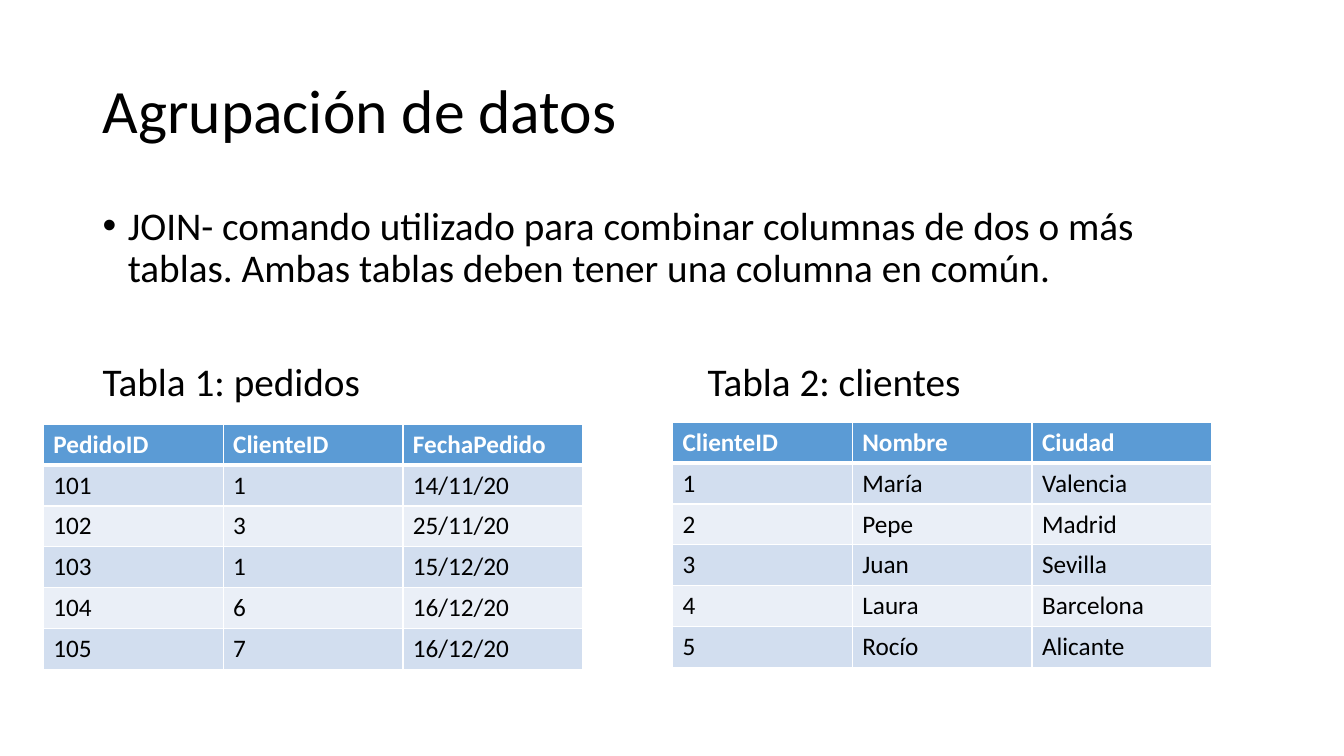
from dataclasses import dataclass
from typing import Any

from lxml import etree
from pptx import Presentation, util as u
from pptx.dml.color import RGBColor
from pptx.enum import text
from pptx.oxml import ns

COLORS = {
    "text": "000000",
    "white": "FFFFFF",
    "header": "5B9BD5",
    "odd_row": "D2DEEF",
    "even_row": "EAEFF7",
}
FONT = "Calibri"
TABLE_WIDTH, ROW_HEIGHT = 5.35, 0.405
THIN, THICK = 1, 3


@dataclass
class DataTable:
    left: float
    top: float
    rows: list[tuple[str, ...]]


TABLES = [
    DataTable(6.67, 4.19, [
        ("ClienteID", "Nombre", "Ciudad"),
        ("1", "María", "Valencia"),
        ("2", "Pepe", "Madrid"),
        ("3", "Juan", "Sevilla"),
        ("4", "Laura", "Barcelona"),
        ("5", "Rocío", "Alicante"),
    ]),
    DataTable(0.43, 4.21, [
        ("PedidoID", "ClienteID", "FechaPedido"),
        ("101", "1", "14/11/20"),
        ("102", "3", "25/11/20"),
        ("103", "1", "15/12/20"),
        ("104", "6", "16/12/20"),
        ("105", "7", "16/12/20"),
    ]),
]


def rgb(name: str) -> RGBColor:
    return RGBColor.from_string(COLORS[name])


def write(p: Any, words: str, size: float, color: str = "text", bold: bool = False) -> None:
    r = p.add_run()
    r.text = words
    for key, value in {"name": FONT, "size": u.Pt(size), "bold": bold}.items():
        setattr(r.font, key, value)
    r.font.color.rgb = rgb(color)


def add_text_frame(slide: Any, top: float, height: float, anchor: Any) -> Any:
    sp = slide.shapes.add_textbox(u.Inches(0.92), u.Inches(top), u.Inches(11.5), u.Inches(height))
    tf = sp.text_frame
    for key, value in {"word_wrap": True, "vertical_anchor": anchor}.items():
        setattr(tf, key, value)
    return tf


def space(p: Any, before: float) -> None:
    for key, value in {"line_spacing": 0.9, "space_before": u.Pt(before)}.items():
        setattr(p, key, value)


def add_bullet(p: Any) -> None:
    pPr = p._p.get_or_add_pPr()
    pPr.set("marL", str(u.Inches(0.25)))
    pPr.set("indent", str(-u.Inches(0.25)))
    etree.SubElement(pPr, ns.qn("a:buFont"), typeface="Arial")
    etree.SubElement(pPr, ns.qn("a:buChar"), char="•")


def add_tab_stop(p: Any, position: float) -> None:
    tabs = etree.SubElement(p._p.get_or_add_pPr(), ns.qn("a:tabLst"))
    etree.SubElement(tabs, ns.qn("a:tab"), pos=str(u.Inches(position)), algn="l")


def set_borders(cell: Any, top: float, bottom: float) -> None:
    tcPr = cell._tc.get_or_add_tcPr()
    widths = {"lnL": THIN, "lnR": THIN, "lnT": top, "lnB": bottom}
    for i, (side, width) in enumerate(widths.items()):
        ln = etree.Element(ns.qn(f"a:{side}"), w=str(u.Pt(width)))
        fill = etree.SubElement(ln, ns.qn("a:solidFill"))
        etree.SubElement(fill, ns.qn("a:srgbClr"), val=COLORS["white"])
        tcPr.insert(i, ln)


def add_data_table(slide: Any, data: DataTable) -> None:
    n_rows, n_cols = len(data.rows), len(data.rows[0])
    table = slide.shapes.add_table(
        n_rows, n_cols, u.Inches(data.left), u.Inches(data.top),
        u.Inches(TABLE_WIDTH), u.Inches(ROW_HEIGHT * n_rows)).table
    for i, row in enumerate(data.rows):
        header = i == 0
        fill = "header" if header else "odd_row" if i % 2 else "even_row"
        for j, words in enumerate(row):
            cell = table.cell(i, j)
            cell.fill.solid()
            cell.fill.fore_color.rgb = rgb(fill)
            set_borders(cell, THICK if i == 1 else THIN, THICK if header else THIN)
            write(cell.text_frame.paragraphs[0], words, 18, "white" if header else "text", header)


def main() -> None:
    prs = Presentation()
    prs.slide_width, prs.slide_height = u.Inches(13.33), u.Inches(7.5)
    slide = prs.slides.add_slide(prs.slide_layouts[6])

    title = add_text_frame(slide, 0.4, 1.45, text.MSO_ANCHOR.MIDDLE).paragraphs[0]
    space(title, 0)
    write(title, "Agrupación de datos", 44)

    body = add_text_frame(slide, 2, 2.19, text.MSO_ANCHOR.TOP)
    definition, captions = body.paragraphs[0], body.add_paragraph()
    space(definition, 10)
    add_bullet(definition)
    write(definition, "JOIN- comando utilizado para combinar columnas de dos o más tablas. "
          "Ambas tablas deben tener una columna en común.", 28)
    space(captions, 50.8)
    add_tab_stop(captions, 6)
    write(captions, "Tabla 1: pedidos\tTabla 2: clientes", 28)

    for data in TABLES:
        add_data_table(slide, data)
    prs.save("out.pptx")


if __name__ == "__main__":
    main()
